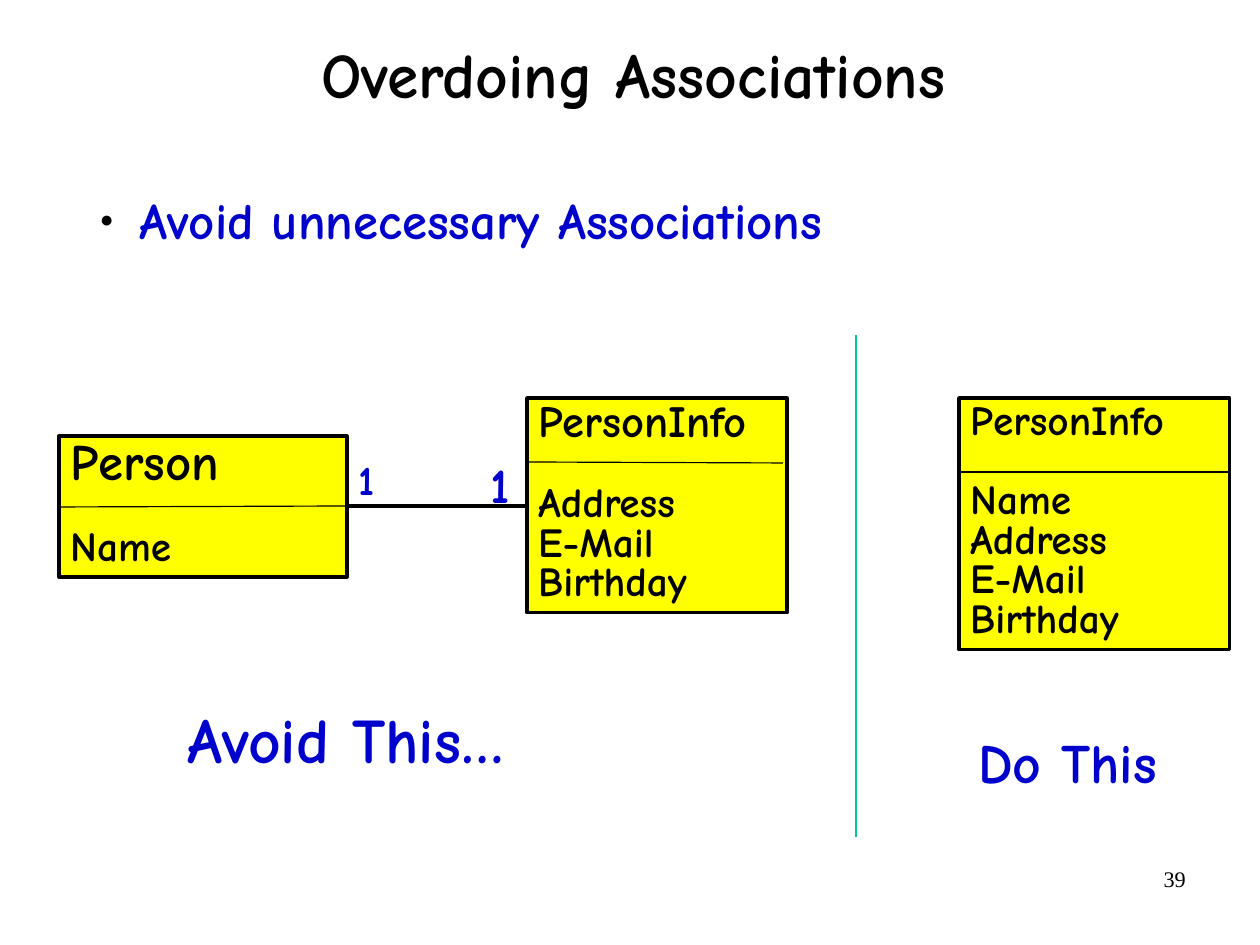
from dataclasses import dataclass

from lxml.etree import SubElement
from pptx import Presentation
from pptx.dml.color import RGBColor as Rgb
from pptx.enum.shapes import MSO_CONNECTOR as Conn, MSO_SHAPE as Kind
from pptx.enum.text import MSO_ANCHOR as Anchor, PP_ALIGN as Align
from pptx.oxml.ns import qn
from pptx.shapes.base import BaseShape
from pptx.slide import Slide
from pptx.text.text import TextFrame, _Paragraph as Para
from pptx.util import Emu, Pt

PX = 8000
COMIC, TIMES = "Comic Neue", "Times New Roman"
BLACK, BLUE, YELLOW, GREEN = "000000", "0000CC", "FFFF00", "00C896"
ROW = 26


@dataclass
class Label:
    text: str
    box: tuple[int, int, int, int]
    size: int
    color: str = BLUE
    font: str = COMIC
    bold: bool = True
    pad: tuple[int, int] | None = None
    align: Align = Align.LEFT
    anchor: Anchor = Anchor.TOP
    pitch: float = 0.8
    bullet: bool = False


@dataclass
class Entity:
    name: str
    size: int
    rows: list[str]
    box: tuple[int, int, int, int]


@dataclass
class Line:
    ends: tuple[int, int, int, int]
    width: float = 0.75
    color: str = BLACK


LABELS = [
    Label("39", (903, 860, 294, 65), 14, BLACK, TIMES, False, align=Align.RIGHT, pitch=1.0),
    Label("Overdoing Associations", (97, 0, 1073, 157), 40, BLACK, pad=(0, 0),
          align=Align.CENTER, anchor=Anchor.MIDDLE, pitch=0.88),
    Label("Avoid unnecessary Associations", (87, 197, 1134, 624), 32, pad=(0, 0),
          pitch=0.88, bullet=True),
    Label("1", (478, 459, 37, 61), 31, pad=(13, 7)),
    Label("1", (347, 458, 37, 51), 26),
    Label("Avoid This…", (176, 709, 408, 73), 40),
    Label("Do This", (967, 735, 293, 65), 35),
]
ENTITIES = [
    Entity("Person", 32, ["Name"], (59, 436, 288, 141)),
    Entity("PersonInfo", 28, ["Address", "E-Mail", "Birthday"], (527, 398, 260, 215)),
    Entity("PersonInfo", 26, ["Name", "Address", "E-Mail", "Birthday"], (959, 398, 271, 252)),
]
LINES = [
    Line((59, 507, 347, 506)),
    Line((527, 462, 783, 463)),
    Line((960, 472, 1230, 472)),
    Line((347, 506, 527, 506), 3),
    Line((856, 335, 856, 837), color=GREEN),
]


def px(*nums: int) -> list[Emu]:
    """Turn px lengths into EMU."""
    return [Emu(num * PX) for num in nums]


def rgb(color: str) -> Rgb:
    """Turn a hex string into a colour."""
    return Rgb.from_string(color)


def setup(frame: TextFrame, pad: tuple[int, int] | None, anchor: Anchor) -> None:
    """Set wrapping, anchor and any special insets of a text frame."""
    frame.word_wrap = True
    frame.vertical_anchor = anchor
    if pad:
        frame.margin_left, frame.margin_top = px(*pad)
        frame.margin_right, frame.margin_bottom = px(*pad)


def write(para: Para, text: str, size: int, color: str, font: str = COMIC,
          bold: bool = True, pitch: float = 0.8, align: Align = Align.LEFT) -> None:
    """Add one run and format its paragraph."""
    para.line_spacing, para.alignment = pitch, align
    run = para.add_run()
    run.text = text
    run.font.name, run.font.size, run.font.bold = font, Pt(size), bold
    run.font.color.rgb = rgb(color)


def mark(para: Para) -> None:
    """Give a paragraph a small black bullet with a hanging indent."""
    props = para._p.get_or_add_pPr()
    left, hang = px(53, -40)
    props.set("marL", str(left))
    props.set("indent", str(hang))
    paint = SubElement(props, qn("a:buClr"))
    SubElement(paint, qn("a:srgbClr"), val=BLACK)
    SubElement(props, qn("a:buSzPct"), val="45000")
    SubElement(props, qn("a:buFont"), typeface=TIMES)
    SubElement(props, qn("a:buChar"), char="●")


def add_label(slide: Slide, label: Label) -> BaseShape:
    """Add a text box."""
    box = slide.shapes.add_textbox(*px(*label.box))
    setup(box.text_frame, label.pad, label.anchor)
    para = box.text_frame.paragraphs[0]
    if label.bullet:
        mark(para)
    write(para, label.text, label.size, label.color, label.font, label.bold,
          label.pitch, label.align)
    return box


def add_entity(slide: Slide, entity: Entity) -> BaseShape:
    """Add a class box with its name and attributes."""
    box = slide.shapes.add_shape(Kind.RECTANGLE, *px(*entity.box))
    box.shadow.inherit = False
    box.fill.solid()
    box.fill.fore_color.rgb = rgb(YELLOW)
    box.line.color.rgb, box.line.width = rgb(BLACK), Pt(2)
    frame = box.text_frame
    setup(frame, None, Anchor.TOP)
    write(frame.paragraphs[0], entity.name, entity.size, BLACK)
    for num, row in enumerate(entity.rows):
        para = frame.add_paragraph()
        write(para, row, ROW, BLACK)
        para.space_before = Pt(0 if num else 25)
    return box


def add_line(slide: Slide, line: Line) -> BaseShape:
    """Add a straight line."""
    link = slide.shapes.add_connector(Conn.STRAIGHT, *px(*line.ends))
    link.line.color.rgb, link.line.width = rgb(line.color), Pt(line.width)
    SubElement(link._element.spPr, qn("a:effectLst"))
    return link


def main() -> None:
    """Build the slide and save it."""
    deck = Presentation()
    deck.slide_width, deck.slide_height = px(1260, 945)
    slide = deck.slides.add_slide(deck.slide_layouts[6])
    for entity in ENTITIES:
        add_entity(slide, entity)
    for line in LINES:
        add_line(slide, line)
    for label in LABELS:
        add_label(slide, label)
    deck.save("out.pptx")


if __name__ == "__main__":
    main()
